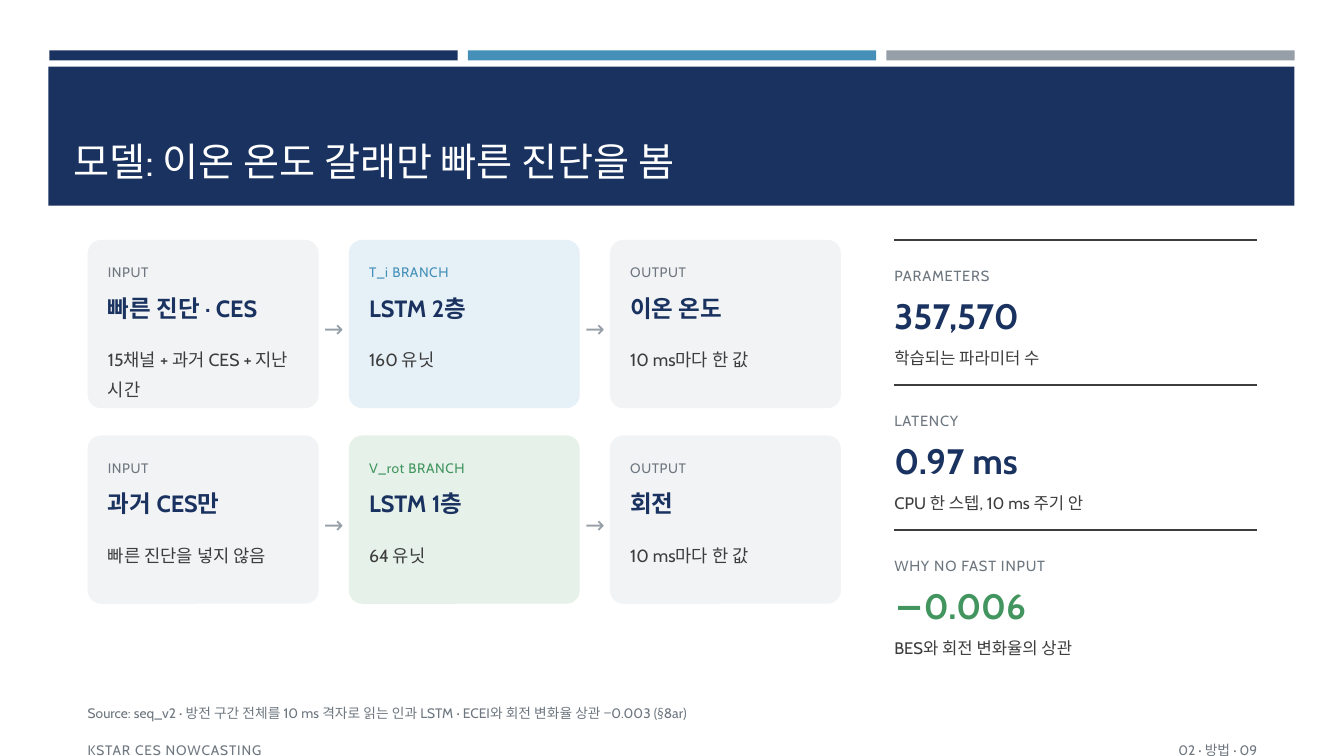
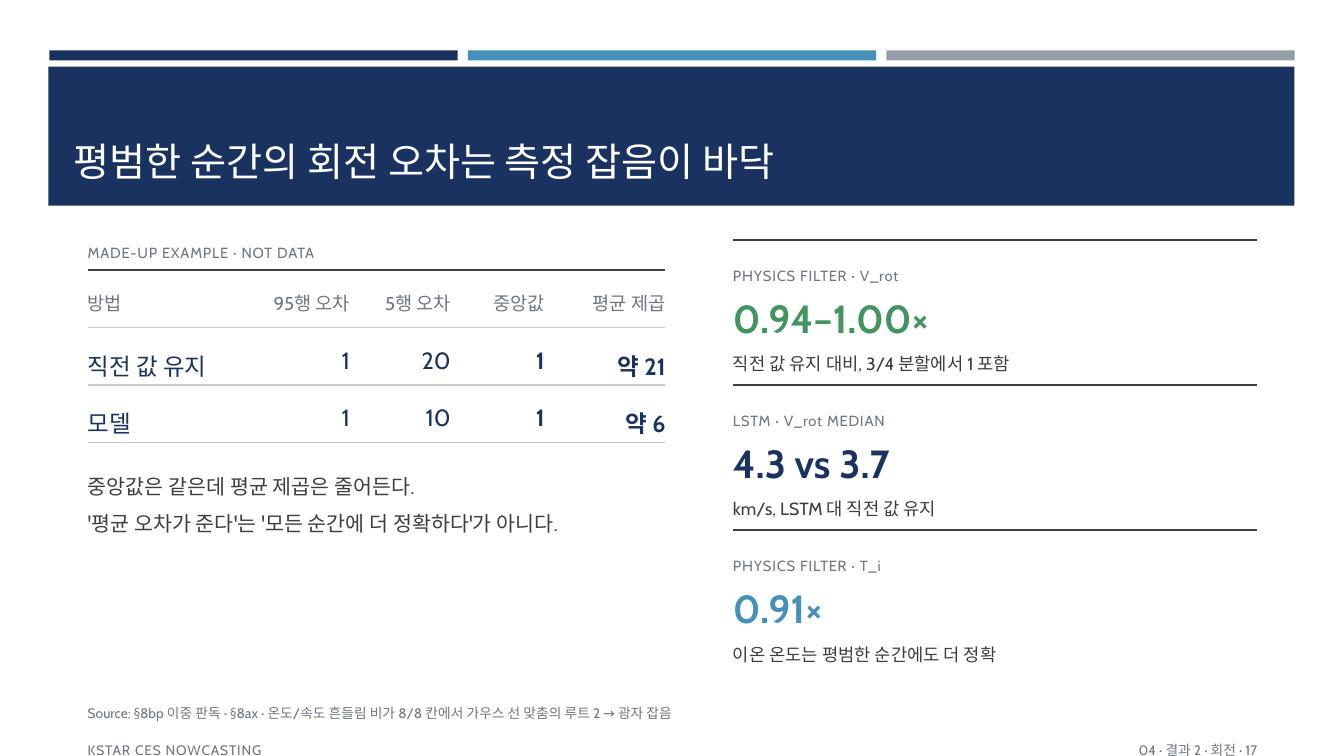
import lxml.etree
import pptx
import pptx.dml.color
import pptx.enum.shapes
import pptx.enum.text
import pptx.oxml.ns
import pptx.util

PX = 9144  # 100 px to the inch
FONT = "Cabin"
COLORS = {
    "navy": "1A3260",
    "blue": "4590B8",
    "gray": "969FA7",
    "green": "42955F",
    "ink": "3D3D3D",
    "muted": "6E7780",
    "rule": "C9CDD3",
    "white": "FFFFFF",
    "card": "F2F3F5",
    "blue card": "E6F0F7",
    "green card": "E5F1E9",
}
NO_TABLE_STYLE = "{2D5ABB26-0587-4C30-8999-92F81FD0307C}"
ALIGN = pptx.enum.text.PP_ALIGN
ANCHOR = pptx.enum.text.MSO_ANCHOR
SHAPE = pptx.enum.shapes.MSO_SHAPE
qn = pptx.oxml.ns.qn

LEFT = 87
RIGHT = 1247
TOP = 238


def px(*lengths):
    return [pptx.util.Emu(length * PX) for length in lengths]


def rgb(color):
    return pptx.dml.color.RGBColor.from_string(COLORS[color])


class Deck:
    """Holds the presentation, its style and the slide being drawn."""

    def __init__(self):
        self.presentation = pptx.Presentation()
        self.presentation.slide_width, self.presentation.slide_height = px(1333, 750)
        self.slide = None

    def start_slide(self, title, source, section):
        layout = self.presentation.slide_layouts[5]
        self.slide = self.presentation.slides.add_slide(layout)
        for index, color in enumerate(("navy", "blue", "gray")):
            self.box(49 + index * 415, 50, 405, 10, color)
        self.box(48, 66, 1236, 138, "navy")
        self.title(title)
        self.text(LEFT, 695, 1160, 27, source, 9.8, "muted", spacing=1.25)
        self.text(LEFT, 732, 533, 20, "KSTAR CES NOWCASTING", 9.8, "muted",
                  spacing=1.25, tracking=60)
        self.text(RIGHT - 533, 732, 533, 20, section, 9.8, "muted",
                  spacing=1.25, align=ALIGN.RIGHT)

    def title(self, words):
        title = self.slide.shapes.title
        title.left, title.top, title.width, title.height = px(63, 80, 1206, 108)
        frame = title.text_frame
        frame.text = words
        frame.word_wrap = True
        frame.auto_size = pptx.enum.text.MSO_AUTO_SIZE.NONE
        frame.vertical_anchor = ANCHOR.BOTTOM
        self.format(frame.paragraphs[0], 28, "white")
        # The title must lie in front of the band.
        self.slide.shapes.element.append(title.element)

    def format(self, paragraph, size, color, bold=False, spacing=None,
               align=ALIGN.LEFT, tracking=None):
        """Style a whole paragraph; tracking is in hundredths of a point."""
        paragraph.alignment = align
        if spacing:
            paragraph.line_spacing = spacing
        font = paragraph.font
        font.name = FONT
        font.size = pptx.util.Pt(size)
        font.bold = bold
        font.color.rgb = rgb(color)
        if tracking:
            font._element.set("spc", str(tracking))

    def text(self, left, top, width, height, words, size, color,
             anchor=ANCHOR.TOP, **style):
        box = self.slide.shapes.add_textbox(*px(left, top, width, height))
        frame = box.text_frame
        frame.word_wrap = True
        frame.vertical_anchor = anchor
        frame.margin_left = frame.margin_right = 0
        frame.margin_top = frame.margin_bottom = 0
        frame.text = words
        for paragraph in frame.paragraphs:
            self.format(paragraph, size, color, **style)

    def box(self, left, top, width, height, color, preset=SHAPE.RECTANGLE):
        shape = self.slide.shapes.add_shape(preset, *px(left, top, width, height))
        shape.shadow.inherit = False
        shape.fill.solid()
        shape.fill.fore_color.rgb = rgb(color)
        shape.line.fill.background()
        return shape

    def rule(self, left, top, right):
        line = self.slide.shapes.add_connector(
            pptx.enum.shapes.MSO_CONNECTOR.STRAIGHT, *px(left, top, right, top))
        line.line.color.rgb = rgb("ink")
        line.line.width = pptx.util.Pt(1.25)
        lxml.etree.SubElement(line.element.spPr, qn("a:effectLst"))

    def card(self, left, top, width, label, heading, detail, fill, label_color):
        card = self.box(left, top, width, 167, fill, SHAPE.ROUNDED_RECTANGLE)
        card.adjustments[0] = 0.08
        inner = (left + 20, width - 40)
        self.text(inner[0], top + 20, inner[1], 27, label, 9.8, label_color,
                  spacing=1.25, tracking=40)
        self.text(inner[0], top + 48, inner[1], 60, heading, 16.8, "navy",
                  bold=True, spacing=1.2)
        self.text(inner[0], top + 100, inner[1], 60, detail, 12.6, "ink", spacing=1.4)

    def card_row(self, top, cards):
        """Draw cards from left to right with an arrow in each gap."""
        width, gap = 229, 30
        for index, card in enumerate(cards):
            left = LEFT + index * (width + gap)
            if index:
                self.text(left - gap, top + 64, gap, 40, "→", 16.8, "gray",
                          anchor=ANCHOR.MIDDLE, align=ALIGN.CENTER, spacing=1.25)
            self.card(left, top, width, *card)

    def statistics(self, left, value_size, caption_size, entries):
        """Stack label, value and caption groups, each under a rule."""
        width = RIGHT - left
        for index, (label, value, caption, color) in enumerate(entries):
            top = TOP + index * 144
            self.rule(left, top, RIGHT)
            self.text(left, top + 22, width, 23, label, 10.5, "muted",
                      spacing=1.25, tracking=60)
            self.text(left, top + 54, width, 87, value, value_size, color, bold=True)
            self.text(left, top + 54 + round(value_size * 1.8), width, 40, caption,
                      caption_size, "ink", spacing=1.4)

    def border(self, cell, side, color, points):
        line = lxml.etree.SubElement(
            cell._tc.get_or_add_tcPr(), qn("a:" + side), w=str(int(points * 12700)))
        fill = lxml.etree.SubElement(line, qn("a:solidFill"))
        lxml.etree.SubElement(fill, qn("a:srgbClr"), val=COLORS[color])

    def table(self, left, top, column_widths, row_height, rows, bold_columns):
        frame = self.slide.shapes.add_table(
            len(rows), len(column_widths),
            *px(left, top, sum(column_widths), row_height * len(rows)))
        frame.element.find(".//" + qn("a:tableStyleId")).text = NO_TABLE_STYLE
        table = frame.table
        table.first_row = table.horz_banding = False
        for column, width in zip(table.columns, px(*column_widths)):
            column.width = width
        for row_index, row in enumerate(rows):
            header = row_index == 0
            for column_index, words in enumerate(row):
                cell = table.cell(row_index, column_index)
                cell.margin_left = cell.margin_right = cell.margin_bottom = 0
                cell.margin_top = px(12)[0]
                cell.text = words
                self.format(
                    cell.text_frame.paragraphs[0],
                    13.3 if header else 16.8,
                    "muted" if header else "navy",
                    bold=not header and column_index in bold_columns,
                    spacing=1.25,
                    align=ALIGN.RIGHT if column_index else ALIGN.LEFT)
                if header:
                    self.border(cell, "lnT", "ink", 1.25)
                else:
                    self.border(cell, "lnT", "rule", 1)
                self.border(cell, "lnB", "rule", 1)
                cell.fill.background()


def model_slide(deck):
    deck.start_slide(
        "모델: 이온 온도 갈래만 빠른 진단을 봄",
        "Source: seq_v2 · 방전 구간 전체를 10 ms 격자로 읽는 인과 LSTM"
        " · ECEI와 회전 변화율 상관 −0.003 (§8ar)",
        "02 · 방법 · 09")
    deck.card_row(TOP, [
        ("INPUT", "빠른 진단 · CES", "15채널 + 과거 CES + 지난 시간", "card", "muted"),
        ("T_i BRANCH", "LSTM 2층", "160 유닛", "blue card", "blue"),
        ("OUTPUT", "이온 온도", "10 ms마다 한 값", "card", "muted"),
    ])
    deck.card_row(TOP + 194, [
        ("INPUT", "과거 CES만", "빠른 진단을 넣지 않음", "card", "muted"),
        ("V_rot BRANCH", "LSTM 1층", "64 유닛", "green card", "green"),
        ("OUTPUT", "회전", "10 ms마다 한 값", "card", "muted"),
    ])
    deck.statistics(887, 25.2, 11.9, [
        ("PARAMETERS", "357,570", "학습되는 파라미터 수", "navy"),
        ("LATENCY", "0.97 ms", "CPU 한 스텝, 10 ms 주기 안", "navy"),
        ("WHY NO FAST INPUT", "−0.006", "BES와 회전 변화율의 상관", "green"),
    ])


def rotation_slide(deck):
    deck.start_slide(
        "평범한 순간의 회전 오차는 측정 잡음이 바닥",
        "Source: §8bp 이중 판독 · §8ax · 온도/속도 흔들림 비가 8/8 칸에서"
        " 가우스 선 맞춤의 루트 2 → 광자 잡음",
        "04 · 결과 2 · 회전 · 17")
    deck.text(LEFT, TOP, 573, 23, "MADE-UP EXAMPLE · NOT DATA", 10.5, "muted",
              spacing=1.25, tracking=60)
    deck.table(LEFT, 268, (160, 100, 100, 93, 120), 57, [
        ("방법", "95행 오차", "5행 오차", "중앙값", "평균 제곱"),
        ("직전 값 유지", "1", "20", "1", "약 21"),
        ("모델", "1", "10", "1", "약 6"),
    ], bold_columns=(3, 4))
    deck.text(LEFT, 458, 573, 107,
              "중앙값은 같은데 평균 제곱은 줄어든다.\n"
              "'평균 오차가 준다'는 '모든 순간에 더 정확하다'가 아니다.",
              14.7, "ink", spacing=1.5)
    deck.statistics(727, 28, 12.6, [
        ("PHYSICS FILTER · V_rot", "0.94–1.00×",
         "직전 값 유지 대비, 3/4 분할에서 1 포함", "green"),
        ("LSTM · V_rot MEDIAN", "4.3 vs 3.7", "km/s, LSTM 대 직전 값 유지", "navy"),
        ("PHYSICS FILTER · T_i", "0.91×", "이온 온도는 평범한 순간에도 더 정확", "blue"),
    ])


def main():
    deck = Deck()
    model_slide(deck)
    rotation_slide(deck)
    deck.presentation.save("out.pptx")


if __name__ == "__main__":
    main()
